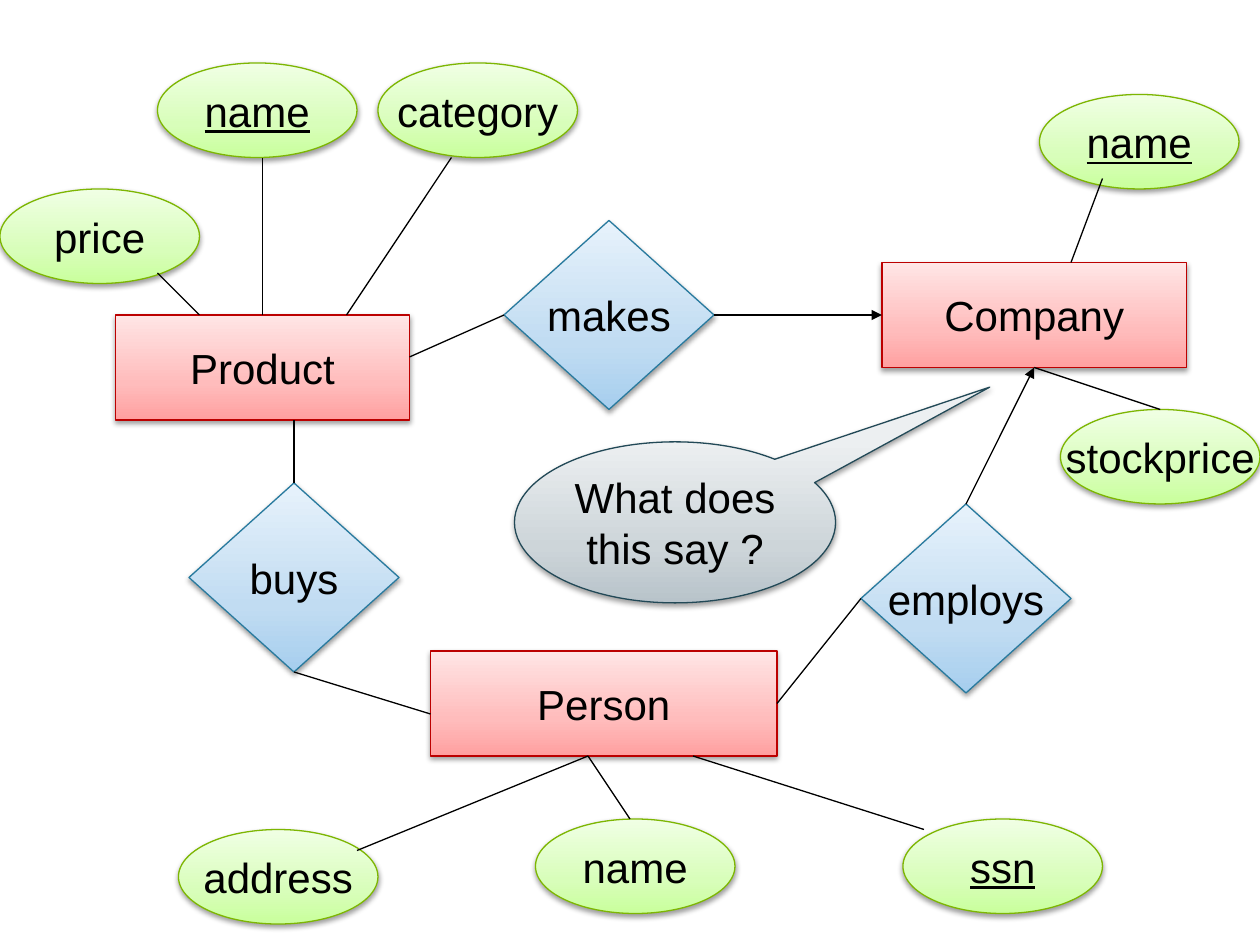
from copy import deepcopy

from lxml.etree import SubElement
from pptx import Presentation
from pptx.dml.color import RGBColor
from pptx.enum.shapes import MSO_CONNECTOR, MSO_SHAPE
from pptx.enum.text import MSO_ANCHOR, PP_ALIGN
from pptx.oxml.ns import qn
from pptx.util import Pt

# Each kind: preset shape, line colour, fill colours from bottom to top
KINDS = {
    "entity": (MSO_SHAPE.RECTANGLE, "BC0000", ("FFA0A0", "FFBCBC", "FFE5E5")),
    "relation": (MSO_SHAPE.DIAMOND, "287A9E", ("A6CEEE", "C1DCF2", "E7F2FB")),
    "field": (MSO_SHAPE.OVAL, "7DB602", ("C9FF9C", "D8FEBA", "F0FFE4")),
    "note": (MSO_SHAPE.OVAL_CALLOUT, "224957", ("B8C3CA", "CDD5D9", "ECEFF1")),
}
STOPS = (0, 0.35, 1)

# Text, left, top, width
ENTITIES = [("Person", 246, 372, 198), ("Company", 504, 150, 174),
            ("Product", 66, 180, 168)]
# Text, left, top
RELATIONS = [("buys", 108, 276), ("makes", 288, 126), ("employs", 492, 288)]
# Text, left, top, is a key
FIELDS = [("address", 102, 474, False), ("name", 306, 468, False),
          ("ssn", 516, 468, True), ("name", 90, 36, True),
          ("category", 216, 36, False), ("stockprice", 606, 234, False),
          ("name", 594, 54, True), ("price", 0, 108, False)]
# Start x, y, end x, y
LINES = [(114, 180, 90, 156), (150, 180, 150, 90), (198, 180, 258, 90),
         (288, 180, 234, 204), (168, 276, 168, 240), (168, 384, 246, 408),
         (612, 150, 630, 102), (492, 342, 444, 402), (336, 432, 204, 486),
         (336, 432, 360, 468), (396, 432, 528, 474), (591, 210, 663, 234)]
ARROWS = [(408, 180, 504, 180), (552, 288, 591, 210)]


def color(text):
    return RGBColor.from_string(text)


def format_all(item, values):
    for key, value in values.items():
        setattr(item, key, value)


def add_shadow(shape):
    shape.shadow.inherit = False
    effects = shape._element.spPr.find(qn("a:effectLst"))
    shade = SubElement(effects, qn("a:outerShdw"), blurRad=str(Pt(3.1)),
                       dist=str(Pt(1.6)), dir="5400000", rotWithShape="0")
    black = SubElement(shade, qn("a:srgbClr"), val="000000")
    SubElement(black, qn("a:alpha"), val="38000")


def add_fill(shape, shades):
    shape.fill.gradient()
    shape.fill.gradient_angle = 90
    stops = shape._element.spPr.find(".//" + qn("a:gsLst"))
    stops.append(deepcopy(stops[0]))
    for stop, place, shade in zip(shape.fill.gradient_stops, STOPS, shades):
        stop.color.rgb = color(shade)
        stop.position = place


def add_node(slide, kind, text, box, key=False):
    form, edge, shades = KINDS[kind]
    shape = slide.shapes.add_shape(form, *map(Pt, box))
    add_fill(shape, shades)
    shape.line.color.rgb = color(edge)
    shape.line.width = Pt(0.75)
    add_shadow(shape)
    frame = shape.text_frame
    format_all(frame, {"word_wrap": False, "vertical_anchor": MSO_ANCHOR.MIDDLE})
    para = frame.paragraphs[0]
    format_all(para, {"text": text, "alignment": PP_ALIGN.CENTER})
    for run in para.runs:
        format_all(run.font, {"name": "Arial", "size": Pt(24),
                              "underline": key or None})
        run.font.color.rgb = color("000000")
    return shape


def add_link(slide, ends, arrow=False):
    link = slide.shapes.add_connector(MSO_CONNECTOR.STRAIGHT, *map(Pt, ends))
    link.line.color.rgb = color("000000")
    link.line.width = Pt(0.75)
    props = link._element.spPr
    if arrow:
        SubElement(props.find(qn("a:ln")), qn("a:tailEnd"), type="triangle")
    SubElement(props, qn("a:effectLst"))


def draw_nodes(slide, box):
    x, y = box[:2]
    for text, left, top, width in ENTITIES:
        add_node(slide, "entity", text, (x + left, y + top, width, 60))
    for text, left, top in RELATIONS:
        add_node(slide, "relation", text, (x + left, y + top, 120, 108))
    for text, left, top, key in FIELDS:
        add_node(slide, "field", text, (x + left, y + top, 114, 54), key)


def draw_links(slide, box):
    x, y = box[:2]
    for group, arrow in ((LINES, False), (ARROWS, True)):
        for x1, y1, x2, y2 in group:
            add_link(slide, (x + x1, y + y1, x + x2, y + y2), arrow)


def draw_note(slide, box):
    note = add_node(slide, "note", "What does\vthis say ?", box)
    # Tip of the callout, as shares of its size from the centre
    note.adjustments[0] = 0.98
    note.adjustments[1] = -0.84


def main():
    deck = Presentation()
    format_all(deck, {"slide_width": Pt(720), "slide_height": Pt(540)})
    slide = deck.slides.add_slide(deck.slide_layouts[6])
    page = (0, 0, 720, 540)
    draw_nodes(slide, page)
    draw_links(slide, page)
    draw_note(slide, (294, 252.5, 183.5, 92))
    deck.save("out.pptx")


if __name__ == "__main__":
    main()
